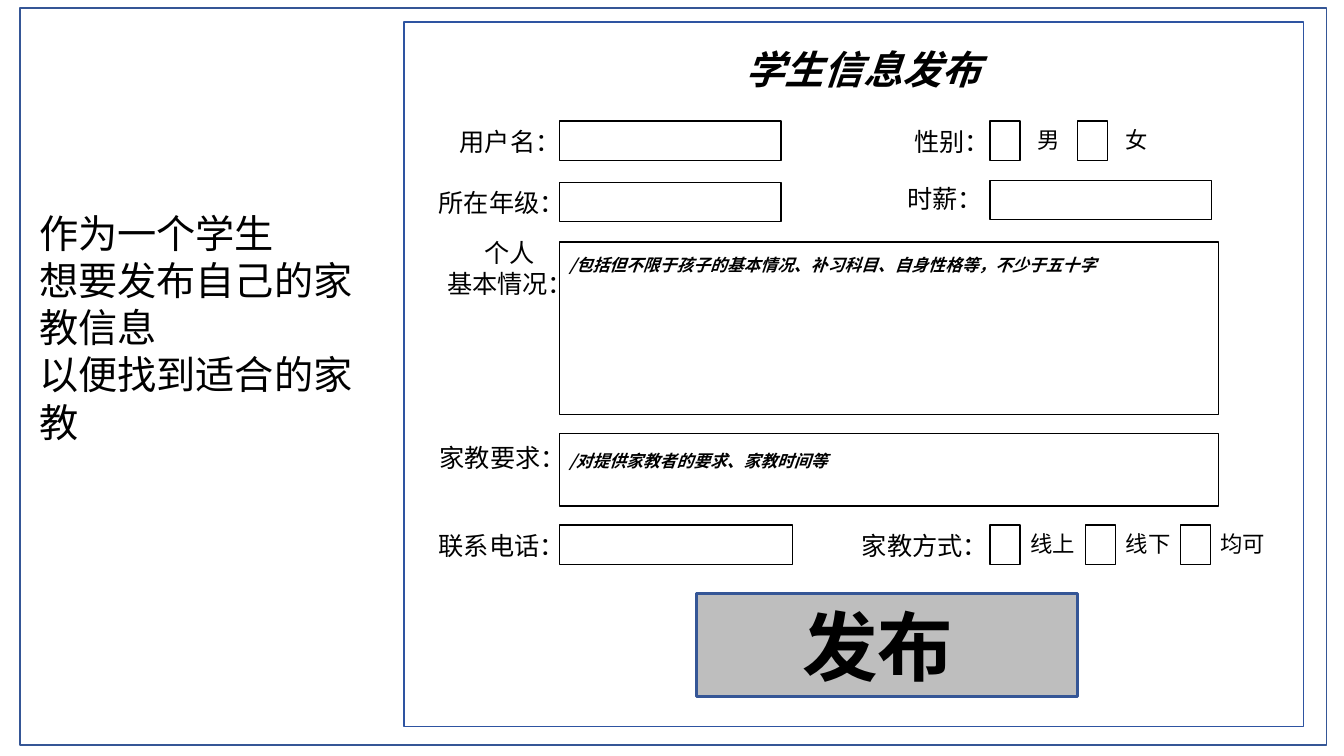
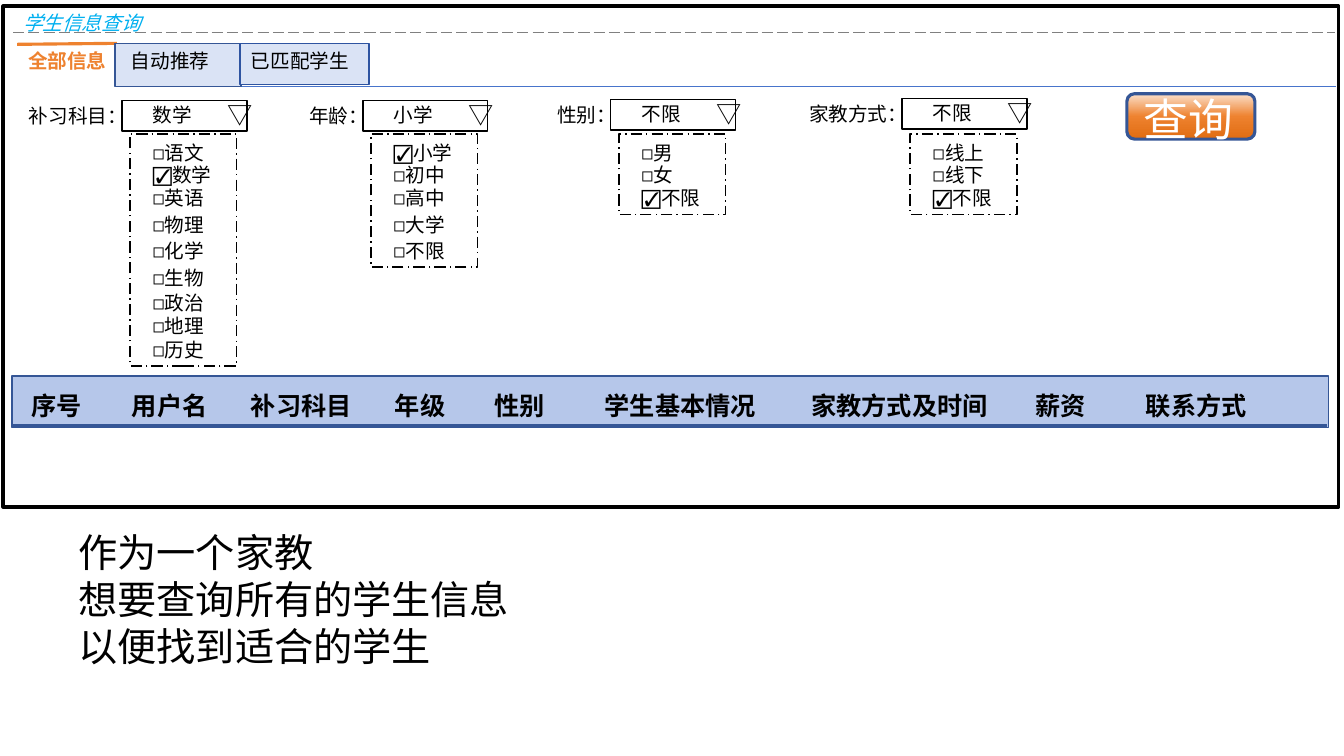
import copy

import pptx
import pptx.dml.color
import pptx.enum.dml
import pptx.enum.shapes
import pptx.enum.text
import pptx.oxml
import pptx.oxml.ns
import pptx.util

RGBColor = pptx.dml.color.RGBColor
SHAPE = pptx.enum.shapes.MSO_SHAPE
DASH = pptx.enum.dml.MSO_LINE
ALIGN = pptx.enum.text.PP_ALIGN

BLACK = RGBColor(0x00, 0x00, 0x00)
WHITE = RGBColor(0xFF, 0xFF, 0xFF)
GREY = RGBColor(0x80, 0x80, 0x80)
SILVER = RGBColor(0xBE, 0xBE, 0xBE)
NAVY = RGBColor(0x35, 0x56, 0x96)
ROYAL = RGBColor(0x2E, 0x54, 0xA1)
BLUE = RGBColor(0x48, 0x74, 0xCB)
SKY = RGBColor(0x00, 0xB0, 0xF0)
PALE_BLUE = RGBColor(0xDA, 0xE3, 0xF5)
HEADER_BLUE = RGBColor(0xB6, 0xC7, 0xEA)
ORANGE = RGBColor(0xEE, 0x82, 0x2F)
PEACH = RGBColor(0xFB, 0xE0, 0xCB)
RUST = RGBColor(0xE0, 0x6C, 0x12)

FONT = "Noto Sans CJK SC"
CELL = pptx.util.Inches(0.1)
# Rows of a filter menu, in grid cells below its top edge
OPTION_ROWS = (0.2, 2.4, 4.7, 7.3, 9.9, 12.6, 15.1, 17.4, 19.7)


def grid(*cells):
    return [round(c * CELL) for c in cells]


def inside(box, x, y, w, h):
    """Turn a place relative to box into a place on the slide grid."""
    return box[0] + x, box[1] + y, w, h


def add_text(s, box, text, size=18, color=BLACK, bold=False, italic=False,
             align=ALIGN.LEFT, wrap=True):
    tf = s.shapes.add_textbox(*grid(*box)).text_frame
    tf.word_wrap = wrap
    tf.auto_size = pptx.enum.text.MSO_AUTO_SIZE.SHAPE_TO_FIT_TEXT
    for i, line in enumerate(text.split("\n")):
        p = tf.paragraphs[0] if i == 0 else tf.add_paragraph()
        p.alignment = align
        r = p.add_run()
        r.text = line
        r.font.name = FONT
        r.font.size = pptx.util.Pt(size)
        r.font.bold = bold
        r.font.italic = italic
        r.font.color.rgb = color
        ea = pptx.oxml.parse_xml(
            f'<a:ea {pptx.oxml.ns.nsdecls("a")} typeface="{FONT}"/>')
        r._r.get_or_add_rPr().find(pptx.oxml.ns.qn("a:latin")).addnext(ea)


def add_box(s, box, fill=WHITE, line=BLACK, width=1, dash=None,
            kind=SHAPE.RECTANGLE):
    sp = s.shapes.add_shape(kind, *grid(*box))
    sp.shadow.inherit = False
    sp.fill.solid()
    sp.fill.fore_color.rgb = fill
    sp.line.color.rgb = line
    sp.line.width = pptx.util.Pt(width)
    if dash:
        sp.line.dash_style = dash
    return sp


def add_line(s, start, end, color, width=1, dash=None):
    ln = s.shapes.add_connector(pptx.enum.shapes.MSO_CONNECTOR.STRAIGHT,
                                *grid(*start, *end))
    ln.line.color.rgb = color
    ln.line.width = pptx.util.Pt(width)
    if dash:
        ln.line.dash_style = dash
    ln._element.spPr.append(pptx.oxml.parse_xml(
        f'<a:effectLst {pptx.oxml.ns.nsdecls("a")}/>'))


def fill_gradient(sp, *colors):
    """Fill top to bottom with three evenly spaced colours."""
    sp.fill.gradient()
    sp.fill.gradient_angle = 270
    stops = sp._element.spPr.find(".//" + pptx.oxml.ns.qn("a:gsLst"))
    stops.append(copy.deepcopy(stops[0]))
    for i, (stop, color) in enumerate(zip(sp.fill.gradient_stops, colors)):
        stop.position = i / 2
        stop.color.rgb = color


def form_label(s, form, right, y, text, align=ALIGN.RIGHT):
    width = 15.6
    add_text(s, inside(form, right - width, y, width, 4), text, align=align)


def check_boxes(s, form, y, choices):
    for x, gap, text in choices:
        add_box(s, inside(form, x, y, 3, 3.9))
        add_text(s, inside(form, x + gap, y, 8.1, 3.7), text, size=16)


def publish_form(s, form):
    left, right = 15.4, 58.1
    add_box(s, form, line=ROYAL)
    add_text(s, inside(form, 32.9, 1.8, 44.4, 5.7), "学生信息发布", size=28,
             bold=True, italic=True)

    for label_right, label_y, text in (
            (16.5, 9.8, "用户名："), (16.9, 15.9, "所在年级："),
            (17.0, 41.2, "家教要求："), (16.9, 49.9, "联系电话："),
            (59.1, 9.8, "性别："), (58.4, 15.5, "时薪："),
            (58.9, 49.9, "家教方式：")):
        form_label(s, form, label_right, label_y, text)
    form_label(s, form, 18.3, 20.9, "个人\n基本情况：", align=ALIGN.CENTER)

    for x, y, w, h in ((left, 9.8, 22, 3.9), (left, 15.9, 22, 3.9),
                       (right, 15.7, 22, 3.9), (left, 21.8, 65.4, 17.1),
                       (left, 40.8, 65.4, 7.2), (left, 49.9, 23.1, 3.9)):
        add_box(s, inside(form, x, y, w, h))
    for y, hint in (
            (22.6, "/包括但不限于孩子的基本情况、补习科目、自身性格等，不少于五十字"),
            (42, "/对提供家教者的要求、家教时间等")):
        add_text(s, inside(form, left, y, 58.7, 3), hint, size=12, bold=True,
                 italic=True)

    check_boxes(s, form, 9.8, ((right, 3.7, "男"), (66.8, 3.8, "女")))
    check_boxes(s, form, 49.9, ((right, 3, "线上"), (67.6, 3, "线下"),
                                (77, 3, "均可")))

    add_box(s, inside(form, 29, 56.7, 37.8, 10.2), fill=SILVER, line=NAVY,
            width=2.25)
    add_text(s, inside(form, 38.5, 56.8, 44.4, 10.1), "发布", size=54,
             bold=True)


def tab_bar(s, x, y):
    add_line(s, (x, y + 0.1), (x + 9.9, y), ORANGE, width=2.25)
    add_line(s, (x + 16, y + 4.3), (132.5, y + 4.3), BLUE)
    add_text(s, (x + 0.1, y + 0.1, 15.3, 3.4), "全部信息", size=14,
             color=ORANGE, bold=True)
    for dx, w, h, line, text_dx, text in (
            (9.7, 12.5, 4.3, NAVY, 10.3, "自动推荐"),
            (22.1, 12.8, 4.1, ROYAL, 22.2, "已匹配学生")):
        add_box(s, (x + dx, y, w, h), fill=PALE_BLUE, line=line)
        add_text(s, (x + text_dx, y + 0.1, 13.5, 3.4), text, size=14)


def filter_menu(s, x, y, label, chosen, options):
    """Draw a labelled drop-down at x, y with its open list of options."""
    add_text(s, (x - 10.6, y - 0.2, 12.1, 3.4), label, size=14,
             align=ALIGN.RIGHT)
    add_box(s, (x, y, 12.4, 3))
    add_text(s, (x + 9.5, y - 0.6, 3.5, 4), "▽", wrap=False)
    add_text(s, (x + 2.05, y - 0.3, 8.4, 3.4), chosen, size=14)

    menu = (x + 0.8, 13.3, 10.6, OPTION_ROWS[len(options) - 1] + 3.3)
    add_box(s, menu, dash=DASH.LONG_DASH_DOT)
    for row, option in zip(OPTION_ROWS, options):
        mark = "☑" if option == chosen else "◻"
        add_text(s, inside(menu, 1.25, row, 10.2, 3.4), mark + option, size=14)


def query_button(s, x, y):
    sp = add_box(s, (x, y, 12.7, 4.5), line=NAVY, width=2.25,
                 kind=SHAPE.ROUNDED_RECTANGLE)
    fill_gradient(sp, PEACH, ORANGE, RUST)
    add_text(s, (x + 0.7, y - 0.7, 44.4, 6.4), "查询", size=32, color=WHITE)


def result_header(s, x, y):
    add_box(s, (x, y, 130.6, 5.1), fill=HEADER_BLUE, line=NAVY)
    add_line(s, (x - 0.1, y + 4.9), (x + 130.5, y + 4.9), NAVY, width=2.25)
    for dx, w, text in (
            (0.9, 10.8, "序号"), (10.9, 10.8, "用户名"),
            (22.7, 12.8, "补习科目"), (37, 10.8, "年级"),
            (46.9, 10.8, "性别"), (57.8, 23.8, "学生基本情况"),
            (78.3, 19.8, "家教方式及时间"), (100.5, 11.8, "薪资"),
            (111.5, 19.1, "联系方式")):
        add_text(s, (x + dx, y + 0.9, w, 4), text, bold=True)


def publish_slide(s):
    add_box(s, (2, 0.8, 129.6, 73.1), line=NAVY)
    publish_form(s, (40.1, 2.2, 89.2, 69.9))
    add_text(s, (2.9, 20.3, 36.1, 24.6),
             "作为一个学生\n想要发布自己的家教信息\n以便找到适合的家教", size=28)


def query_slide(s):
    add_box(s, (0.3, 0.6, 132.5, 49.7), width=2.25)
    add_line(s, (1.3, 3.2), (132.4, 3.2), GREY, dash=DASH.LONG_DASH)
    add_text(s, (1.3, 0.6, 15.8, 3.4), "学生信息查询", size=14, color=SKY,
             italic=True)
    tab_bar(s, 1.7, 4.3)
    for x, y, label, chosen, options in (
            (12.1, 10, "补习科目：", "数学",
             ("语文", "数学", "英语", "物理", "化学", "生物", "政治", "地理", "历史")),
            (36, 10, "年龄：", "小学", ("小学", "初中", "高中", "大学", "不限")),
            (60.6, 9.9, "性别：", "不限", ("男", "女", "不限")),
            (89.5, 9.8, "家教方式：", "不限", ("线上", "线下", "不限"))):
        filter_menu(s, x, y, label, chosen, options)
    query_button(s, 111.8, 9.3)
    result_header(s, 1.2, 37.3)
    add_text(s, (6.8, 51.9, 101.5, 18.4),
             "作为一个家教\n想要查询所有的学生信息\n以便找到适合的学生", size=28)


def main():
    prs = pptx.Presentation()
    prs.slide_width = pptx.util.Inches(40 / 3)
    prs.slide_height = pptx.util.Inches(7.5)
    for build in (publish_slide, query_slide):
        build(prs.slides.add_slide(prs.slide_layouts[6]))
    prs.save("out.pptx")


if __name__ == "__main__":
    main()
